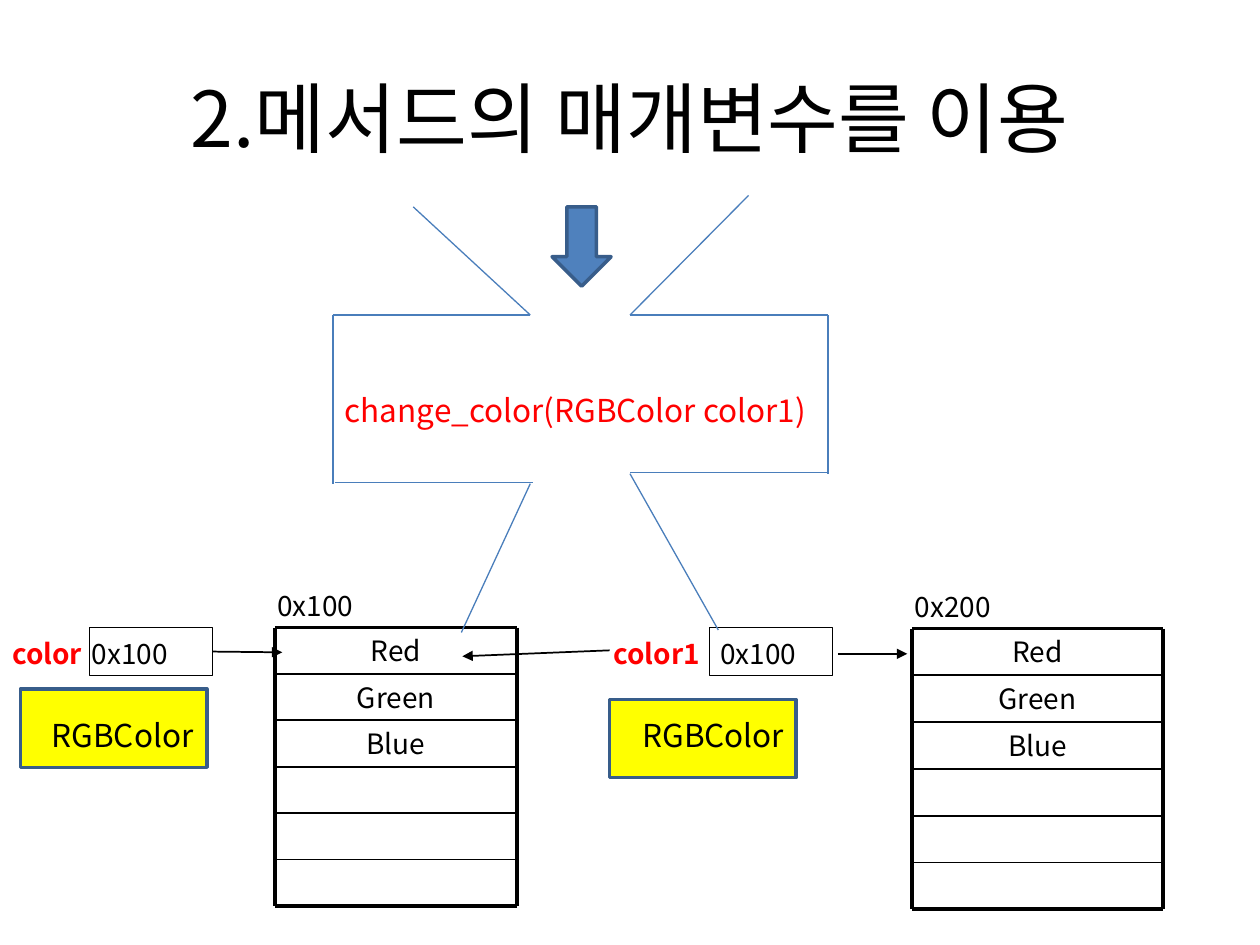
from dataclasses import dataclass

from lxml.etree import SubElement
from pptx import Presentation
from pptx.dml.color import RGBColor
from pptx.enum.shapes import MSO_CONNECTOR, MSO_SHAPE
from pptx.enum.text import MSO_ANCHOR, PP_ALIGN
from pptx.oxml.ns import qn
from pptx.util import Cm, Pt


@dataclass(frozen=True)
class Theme:
    font: str = "Noto Sans CJK KR"
    black: RGBColor = RGBColor(0x00, 0x00, 0x00)
    red: RGBColor = RGBColor(0xFF, 0x00, 0x00)
    yellow: RGBColor = RGBColor(0xFF, 0xFF, 0x00)
    blue: RGBColor = RGBColor(0x4F, 0x81, 0xBD)
    dark_blue: RGBColor = RGBColor(0x38, 0x5D, 0x8A)
    outline_blue: RGBColor = RGBColor(0x4A, 0x7E, 0xBB)
    title_size: int = 44
    code_size: int = 18
    label_size: int = 16
    frame_line: float = 2.25
    shape_line: float = 2
    row_line: float = 1
    thin_line: float = 0.75


THEME = Theme()

# All positions are in centimetres.
TITLE = "2.메서드의 매개변수를 이용"
METHOD = "change_color(RGBColor color1)"
TYPE_NAME = "RGBColor"
FIELDS = ["Red", "Green", "Blue"]
ROW_COUNT = 6

# address, left, top, width, height
MEMORY_BLOCKS = [
    ("0x100", 5.54, 12.65, 4.88, 5.61),
    ("0x200", 18.39, 12.67, 5.05, 5.66),
]
# name, name left, value, value left, box left
VARIABLES = [
    ("color", 0, "0x100", 1.6, 1.8),
    ("color1", 12.12, "0x100", 14.27, 14.3),
]
VARIABLE_TOP = 12.65
# box left, box top, text left
TYPE_BOXES = [(0.41, 13.89, 0.79), (12.29, 14.1, 12.7)]

METHOD_OUTLINE = [
    ((8.33, 4.17), (10.69, 6.35)),
    ((15.09, 3.94), (12.7, 6.35)),
    ((6.71, 6.35), (10.69, 6.35)),
    ((12.7, 6.35), (16.69, 6.35)),
    ((16.69, 6.35), (16.69, 9.55)),
    ((6.71, 6.35), (6.71, 9.75)),
    ((6.76, 9.73), (10.74, 9.73)),
    ((12.7, 9.53), (16.69, 9.53)),
    ((10.69, 9.75), (9.3, 12.75)),
    ((12.7, 9.55), (14.48, 12.7)),
]
COLOR_POINTER = ((4.29, 13.14), (5.69, 13.15))
OTHER_POINTERS = [
    ((16.89, 13.18), (18.29, 13.18)),
    ((12.29, 13.11), (9.32, 13.23)),
]


def add_text(slide, text, left, top, width, height, size=THEME.label_size,
             color=THEME.black, bold=False, align=PP_ALIGN.LEFT,
             anchor=MSO_ANCHOR.TOP, wrap=True):
    text_frame = slide.shapes.add_textbox(
        Cm(left), Cm(top), Cm(width), Cm(height)).text_frame
    text_frame.word_wrap = wrap
    text_frame.vertical_anchor = anchor
    text_frame.text = text
    paragraph = text_frame.paragraphs[0]
    paragraph.alignment = align
    for run in paragraph.runs:
        run.font.name = THEME.font
        run.font.size = Pt(size)
        run.font.bold = bold
        run.font.color.rgb = color
        east_asian = SubElement(run.font._element, qn("a:ea"))
        east_asian.set("typeface", THEME.font)


def add_line(slide, start, end, color=THEME.black, width=THEME.row_line,
             arrow=False):
    connector = slide.shapes.add_connector(
        MSO_CONNECTOR.STRAIGHT, *(Cm(value) for value in (*start, *end)))
    connector.line.color.rgb = color
    connector.line.width = Pt(width)
    if arrow:
        SubElement(connector.line._get_or_add_ln(),
                   qn("a:tailEnd")).set("type", "triangle")
    SubElement(connector._element.spPr, qn("a:effectLst"))
    return connector


def add_shape(slide, kind, left, top, width, height, line_color, line_width,
              fill=None):
    shape = slide.shapes.add_shape(
        kind, Cm(left), Cm(top), Cm(width), Cm(height))
    shape.shadow.inherit = False
    if fill is None:
        shape.fill.background()
    else:
        shape.fill.solid()
        shape.fill.fore_color.rgb = fill
    shape.line.color.rgb = line_color
    shape.line.width = Pt(line_width)
    return shape


def add_memory_block(slide, address, left, top, width, height):
    row_height = height / ROW_COUNT
    right, bottom = left + width, top + height
    for row, field in enumerate(FIELDS):
        add_text(slide, field, left, top + row * row_height, width, row_height,
                 align=PP_ALIGN.CENTER)
    for row in range(ROW_COUNT + 1):
        y = top + row * row_height
        is_frame = row in (0, ROW_COUNT)
        add_line(slide, (left, y), (right, y),
                 width=THEME.frame_line if is_frame else THEME.row_line)
    for x in (left, right):
        add_line(slide, (x, top), (x, bottom), width=THEME.frame_line)
    add_text(slide, address, left - 0.2, top - 0.92, 2.5, 0.94)


def add_variable(slide, name, name_left, value, value_left, box_left):
    """Draw a named variable and return the box that holds its value."""
    box = add_shape(slide, MSO_SHAPE.RECTANGLE, box_left, VARIABLE_TOP,
                    2.49, 0.97, THEME.black, THEME.thin_line)
    text_top = VARIABLE_TOP + 0.05
    add_text(slide, name, name_left, text_top, 2.7, 0.94,
             color=THEME.red, bold=True)
    add_text(slide, value, value_left, text_top, 2.49, 0.94)
    return box


def main():
    presentation = Presentation()
    presentation.slide_width = Cm(25.4)
    presentation.slide_height = Cm(19.05)
    slide = presentation.slides.add_slide(presentation.slide_layouts[6])

    add_text(slide, TITLE, 1.27, 0.76, 22.86, 3.18, size=THEME.title_size,
             align=PP_ALIGN.CENTER, anchor=MSO_ANCHOR.MIDDLE)

    color_box, _ = [add_variable(slide, *variable) for variable in VARIABLES]
    for block in MEMORY_BLOCKS:
        add_memory_block(slide, *block)

    add_line(slide, *COLOR_POINTER, arrow=True).begin_connect(color_box, 3)
    for start, end in OTHER_POINTERS:
        add_line(slide, start, end, arrow=True)

    for start, end in METHOD_OUTLINE:
        add_line(slide, start, end, THEME.outline_blue, THEME.thin_line)
    add_shape(slide, MSO_SHAPE.DOWN_ARROW, 11.13, 4.17, 1.19, 1.6,
              THEME.dark_blue, THEME.shape_line, THEME.blue)
    add_text(slide, METHOD, 6.7, 7.75, 10.54, 1.02, size=THEME.code_size,
             color=THEME.red, wrap=False)

    for box_left, box_top, text_left in TYPE_BOXES:
        add_shape(slide, MSO_SHAPE.RECTANGLE, box_left, box_top, 3.76, 1.58,
                  THEME.dark_blue, THEME.shape_line, THEME.yellow)
        add_text(slide, TYPE_NAME, text_left, 14.3, 3.38, 1.02,
                 size=THEME.code_size, wrap=False)

    presentation.save("out.pptx")


if __name__ == "__main__":
    main()
